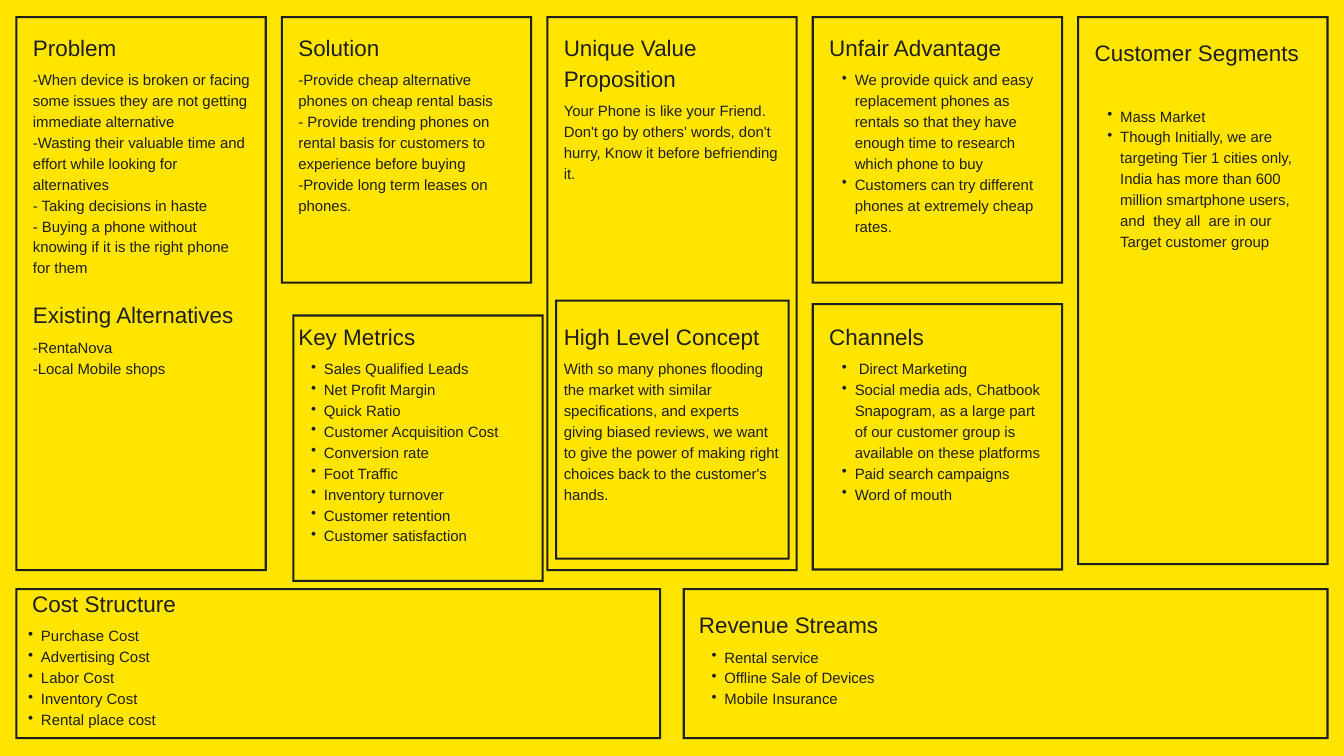
from dataclasses import dataclass

from lxml import etree
from pptx import Presentation
from pptx.dml.color import RGBColor
from pptx.enum import shapes, text
from pptx.oxml.ns import qn
from pptx.util import Inches, Pt

COLORS = {"background": "FFE500", "ink": "1E1E1E"}
FONT = "Arial"
HEADING = {"size": 24, "spacing": 33.6}
BODY = {"size": 16, "spacing": 22.4}

COLUMNS = [0.23 + 3.95 * index for index in range(5)]
COLUMN_WIDTH, TALL, SHORT, WIDE = 3.74, 8.26, 3.98, 9.61
TOP, BOTTOM_TOP, BOTTOM_HEIGHT = 0.24, 8.75, 2.25
BORDER = 0.03
TEXT_INSET = 0.26
HEADING_TOP, LOWER_HEADING_TOP = 0.44, 4.74

FRAMES = [
    (8.26, 4.46, 3.49, 3.87),  # High Level Concept
    (COLUMNS[0], TOP, COLUMN_WIDTH, TALL),
    (COLUMNS[1], TOP, COLUMN_WIDTH, SHORT),
    (COLUMNS[2], TOP, COLUMN_WIDTH, TALL),
    (COLUMNS[3], TOP, COLUMN_WIDTH, SHORT),
    (COLUMNS[3], 4.51, COLUMN_WIDTH, SHORT),
    (COLUMNS[4], TOP, COLUMN_WIDTH, 8.17),
    (COLUMNS[0], BOTTOM_TOP, WIDE, BOTTOM_HEIGHT),
    (10.16, BOTTOM_TOP, WIDE, BOTTOM_HEIGHT),
    (4.35, 4.68, COLUMN_WIDTH, SHORT),  # Key Metrics
]


@dataclass
class Block:
    """A heading with its text; lines is the height of the text in lines."""
    heading: str
    left: float
    top: float
    lines: int
    items: list
    bulleted: bool = False
    width: float = 3.23
    heading_lines: int = 1
    outdent: float = 0
    scale: float = 1


LEFTS = [column + TEXT_INSET for column in COLUMNS]
BLOCKS = [
    Block("Problem", LEFTS[0], HEADING_TOP, 10, [
        "-When device is broken or facing some issues they are not getting immediate alternative",
        "-Wasting their valuable time and effort while looking for alternatives",
        "- Taking decisions in haste",
        "- Buying a phone without knowing if it is the right phone for them"]),
    Block("Existing Alternatives", LEFTS[0], 4.42, 2, [
        "-RentaNova", "-Local Mobile shops"]),
    Block("Solution", LEFTS[1], HEADING_TOP, 7, [
        "-Provide cheap alternative phones on cheap rental basis",
        "- Provide trending phones on rental basis for customers to experience before buying",
        "-Provide long term leases on phones."]),
    Block("Key Metrics", LEFTS[1], LOWER_HEADING_TOP, 9, [
        "Sales Qualified Leads", "Net Profit Margin", "Quick Ratio",
        "Customer Acquisition Cost", "Conversion rate", "Foot Traffic",
        "Inventory turnover", "Customer retention", "Customer satisfaction"],
        bulleted=True),
    Block("Unique Value Proposition", LEFTS[2], HEADING_TOP, 4, [
        "Your Phone is like your Friend. Don't go by others' words, don't hurry, "
        "Know it before befriending it."], heading_lines=2),
    Block("High Level Concept", LEFTS[2], LOWER_HEADING_TOP, 7, [
        "With so many phones flooding the market with similar specifications, and "
        "experts giving biased reviews, we want to give the power of making right "
        "choices back to the customer's hands."]),
    Block("Unfair Advantage", LEFTS[3], HEADING_TOP, 9, [
        "We provide quick and easy replacement phones as rentals so that they have "
        "enough time to research which phone to buy",
        "Customers can try different phones at extremely cheap rates."],
        bulleted=True),
    Block("Channels", LEFTS[3], LOWER_HEADING_TOP, 10, [
        " Direct Marketing",
        "Social media ads, Chatbook Snapogram, as a large part of our customer group "
        "is available on these platforms",
        "Paid search campaigns", "Word of mouth"], bulleted=True),
    Block("Customer Segments", LEFTS[4], 0.52, 7, [
        "Mass Market",
        "Though Initially, we are targeting Tier 1 cities only, India has more than "
        "600 million smartphone users, and  they all  are in our Target customer group"],
        bulleted=True, heading_lines=2),
    Block("Cost Structure", 0.48, 8.71, 5, [
        "Purchase Cost", "Advertising Cost", "Labor Cost", "Inventory Cost",
        "Rental place cost"], bulleted=True, width=8.93, outdent=0.25, scale=1.005),
    Block("Revenue Streams", 10.4, 9.03, 3, [
        "Rental service", "Offline Sale of Devices", "Mobile Insurance"],
        bulleted=True, width=9.12),
]


def color(name):
    return RGBColor.from_string(COLORS[name])


def add_frame(slide, left, top, width, height):
    frame = slide.shapes.add_shape(
        shapes.MSO_SHAPE.FRAME, *map(Inches, (left, top, width, height)))
    frame.adjustments[0] = BORDER / min(width, height)
    frame.shadow.inherit = False
    frame.fill.solid()
    frame.fill.fore_color.rgb = color("ink")
    frame.line.fill.background()


def add_bullet(paragraph):
    paragraph.level = 1
    properties = paragraph._p.get_or_add_pPr()
    properties.set("marL", str(Inches(0.38)))
    properties.set("indent", str(Inches(-0.19)))
    etree.SubElement(properties, qn("a:buChar")).set("char", "•")


def add_text(slide, box, lines, style, scale=1, bulleted=False):
    frame = slide.shapes.add_textbox(*map(Inches, box)).text_frame
    settings = {
        "margin_left": 0, "margin_top": 0, "margin_right": 0, "margin_bottom": 0,
        "word_wrap": True, "auto_size": text.MSO_AUTO_SIZE.SHAPE_TO_FIT_TEXT,
    }
    for name, value in settings.items():
        setattr(frame, name, value)
    font_settings = {"name": FONT, "size": Pt(style["size"] * scale)}
    for index, line in enumerate(lines):
        paragraph = frame.add_paragraph() if index else frame.paragraphs[0]
        paragraph.line_spacing = Pt(style["spacing"] * scale)
        if bulleted:
            add_bullet(paragraph)
        run = paragraph.add_run()
        run.text = line
        for name, value in font_settings.items():
            setattr(run.font, name, value)
        run.font.color.rgb = color("ink")


def add_block(slide, block):
    heading_height = 0.43 + 0.46 * (block.heading_lines - 1)
    add_text(slide, (block.left, block.top, block.width, heading_height),
             [block.heading], HEADING, block.scale)
    body = (block.left - block.outdent, block.top + heading_height + 0.14,
            block.width + block.outdent, 0.31 * block.lines)
    add_text(slide, body, block.items, BODY, block.scale, block.bulleted)


def main():
    presentation = Presentation()
    presentation.slide_width = Inches(20)
    presentation.slide_height = Inches(11.25)
    slide = presentation.slides.add_slide(presentation.slide_layouts[6])
    slide.background.fill.solid()
    slide.background.fill.fore_color.rgb = color("background")
    for frame in FRAMES:
        add_frame(slide, *frame)
    for block in BLOCKS:
        add_block(slide, block)
    presentation.save("out.pptx")


if __name__ == "__main__":
    main()
